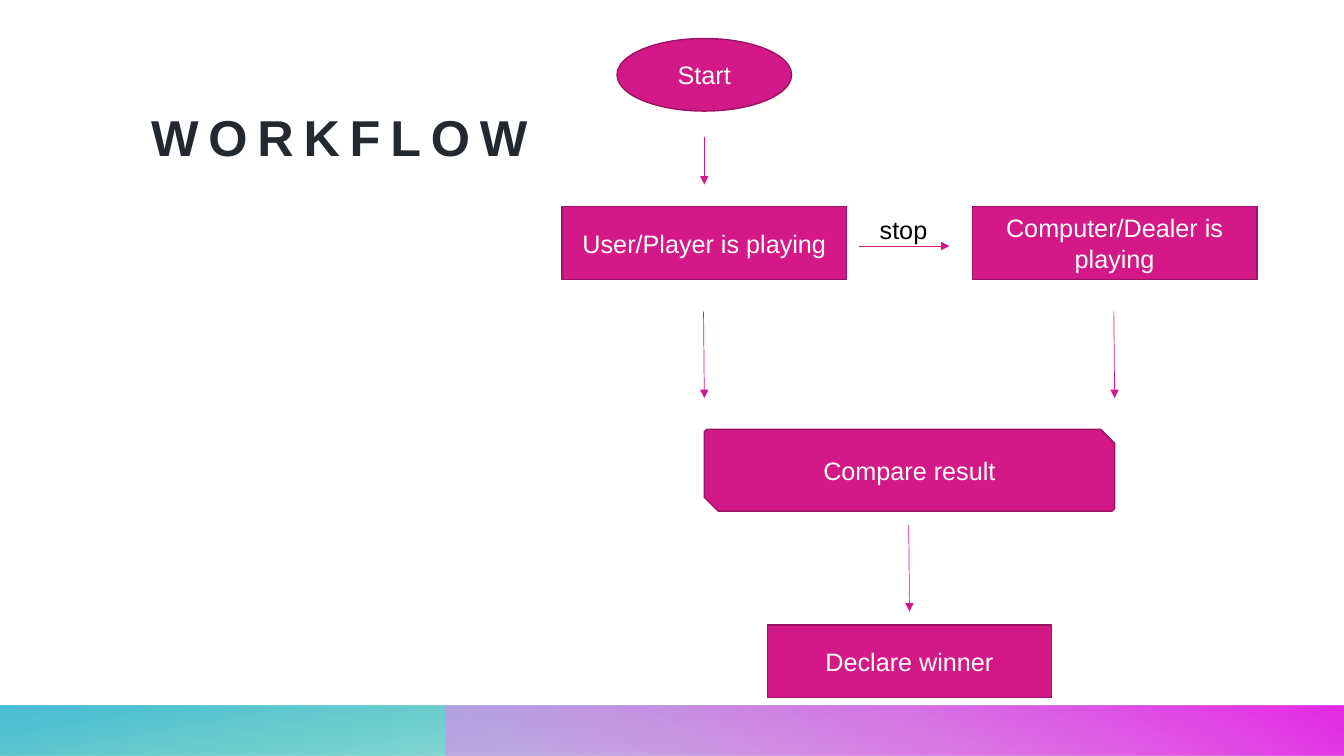
from lxml import etree
from pptx import Presentation
from pptx.dml.color import RGBColor
from pptx.enum.shapes import MSO_CONNECTOR, MSO_SHAPE
from pptx.enum.text import MSO_ANCHOR, PP_ALIGN
from pptx.oxml.ns import qn
from pptx.util import Cm, Pt

RECT, OVAL = MSO_SHAPE.RECTANGLE, MSO_SHAPE.OVAL
SNIP = MSO_SHAPE.SNIP_2_DIAG_RECTANGLE
STRAIGHT = MSO_CONNECTOR.STRAIGHT
MIDDLE, BOTTOM = MSO_ANCHOR.MIDDLE, MSO_ANCHOR.BOTTOM
LEFT, CENTER = PP_ALIGN.LEFT, PP_ALIGN.CENTER

SLIDE_W, SLIDE_H = 33.87, 19.05
BAR_H = 1.27
BAR_TOP = SLIDE_H - BAR_H
PLAYER_X, DEALER_X = 17.75, 28.09
MIDDLE_X = (PLAYER_X + DEALER_X) / 2
BOX_W, BOX_H = 7.17, 1.83
ROW_TOP = 5.21


def rgb(hex_color):
    return RGBColor.from_string(hex_color)


class Flowchart:
    font, size = "Arial", 18
    accent, outline, white, black, ink = "D31987", "9C1264", "FFFFFF", "000000", "24292F"

    def __init__(self, slide):
        self.s = slide

    def fill_text(self, sp, text, color, align=CENTER, spacing=None, frame=None, **font):
        tf = sp.text_frame
        for name, value in {"word_wrap": True, **(frame or {})}.items():
            setattr(tf, name, value)
        p = tf.paragraphs[0]
        p.alignment = align
        r = p.add_run()
        r.text = text
        for name, value in {"name": self.font, "size": Pt(self.size), **font}.items():
            setattr(r.font, name, value)
        r.font.color.rgb = rgb(color)
        if spacing:
            r.font._element.set("spc", str(spacing * 100))

    def text(self, left, top, width, height, text, color, **style):
        sp = self.s.shapes.add_textbox(Cm(left), Cm(top), Cm(width), Cm(height))
        self.fill_text(sp, text, color, align=LEFT, **style)

    def node(self, kind, center, top, width, height, text, adjustments=()):
        sp = self.s.shapes.add_shape(
            kind, Cm(center - width / 2), Cm(top), Cm(width), Cm(height))
        for i, value in enumerate(adjustments):
            sp.adjustments[i] = value
        sp.shadow.inherit = False
        sp.fill.solid()
        sp.fill.fore_color.rgb = rgb(self.accent)
        sp.line.color.rgb = rgb(self.outline)
        sp.line.width = Pt(1)
        self.fill_text(sp, text, self.white, frame={"vertical_anchor": MIDDLE})

    def arrow(self, x1, y1, x2, y2):
        line = self.s.shapes.add_connector(STRAIGHT, Cm(x1), Cm(y1), Cm(x2), Cm(y2))
        line.line.color.rgb = rgb(self.accent)
        line.line.width = Pt(0.5)
        sp_pr = line._element.spPr
        etree.SubElement(sp_pr.find(qn("a:ln")), qn("a:tailEnd"), type="triangle")
        etree.SubElement(sp_pr, qn("a:effectLst"))

    def gradient_bar(self, left, stops, angle, rotation=0):
        """Draw a mirrored bar; stops are (position, colour, opacity), angle is clockwise."""
        sp = self.s.shapes.add_shape(
            RECT, Cm(left), Cm(BAR_TOP), Cm(SLIDE_W - left), Cm(BAR_H))
        sp.shadow.inherit = False
        sp.line.fill.background()
        sp.rotation = rotation
        sp_pr = sp._element.spPr
        sp_pr.find(qn("a:xfrm")).set("flipH", "1")
        sp.fill.gradient()
        sp.fill.gradient_angle = 360 - angle
        for stop, (position, color, opacity) in zip(sp.fill.gradient_stops, stops):
            stop.position = position
            stop.color.rgb = rgb(color)
        for color_xml, (_, _, opacity) in zip(sp_pr.iter(qn("a:srgbClr")), stops):
            etree.SubElement(color_xml, qn("a:alpha"), val=str(opacity * 1000))


def main():
    prs = Presentation()
    prs.slide_width, prs.slide_height = Cm(SLIDE_W), Cm(SLIDE_H)
    chart = Flowchart(prs.slides.add_slide(prs.slide_layouts[6]))

    chart.gradient_bar(0, [(0.14, "16B98F", 28), (1, "26B2CC", 85)], 100, rotation=180)
    chart.gradient_bar(11.22, [(0.09, "EF80EF", 55), (0.99, "E42BE5", 100)], 240)

    title_frame = {"vertical_anchor": BOTTOM, "margin_left": 0, "margin_right": 0,
                   "margin_top": 0, "margin_bottom": Cm(1.45)}
    chart.text(3.81, 2.21, 28.45, 3.43, "WORKFLOW", chart.ink, spacing=7,
               frame=title_frame, size=Pt(36), bold=True)

    chart.node(OVAL, PLAYER_X, 0.97, 4.4, BOX_H, "Start")
    chart.node(RECT, PLAYER_X, ROW_TOP, BOX_W, BOX_H, "User/Player is playing")
    chart.node(RECT, DEALER_X, ROW_TOP, BOX_W, BOX_H, "Computer/Dealer is playing")
    chart.node(SNIP, MIDDLE_X, 10.82, DEALER_X - PLAYER_X, 2.06, "Compare result",
               adjustments=(0.03, 0.17))
    chart.node(RECT, MIDDLE_X, 15.75, BOX_W, BOX_H, "Declare winner")

    chart.arrow(PLAYER_X, 3.45, PLAYER_X, 4.65)
    chart.arrow(21.64, 6.2, 23.93, 6.2)
    for x, top in ((PLAYER_X, 7.85), (DEALER_X, 7.85), (MIDDLE_X, 13.23)):
        chart.arrow(x - 0.02, top, x, top + 2.18)
    chart.text(21.92, 5.28, 2.29, 1.02, "stop", chart.black)

    prs.save("out.pptx")


if __name__ == "__main__":
    main()
